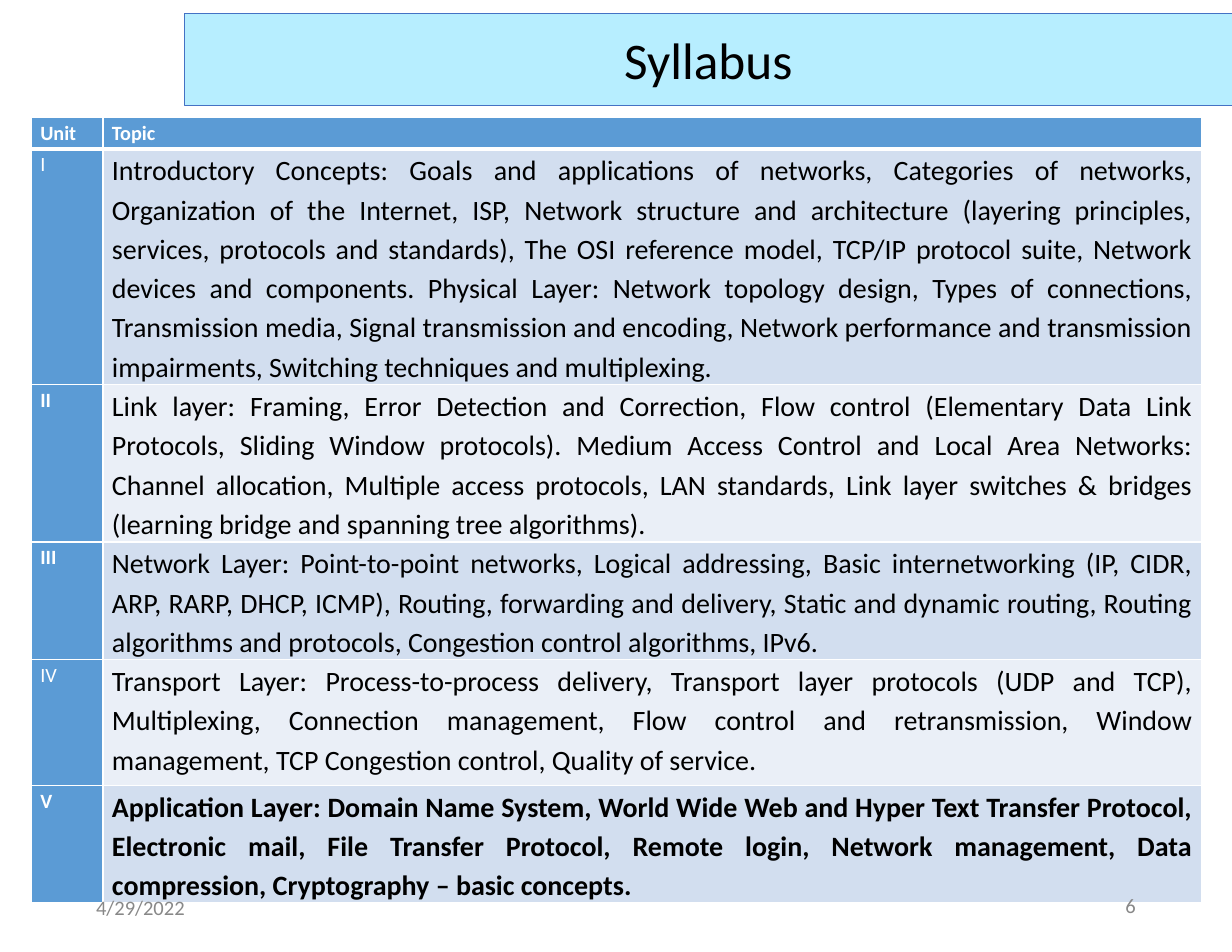
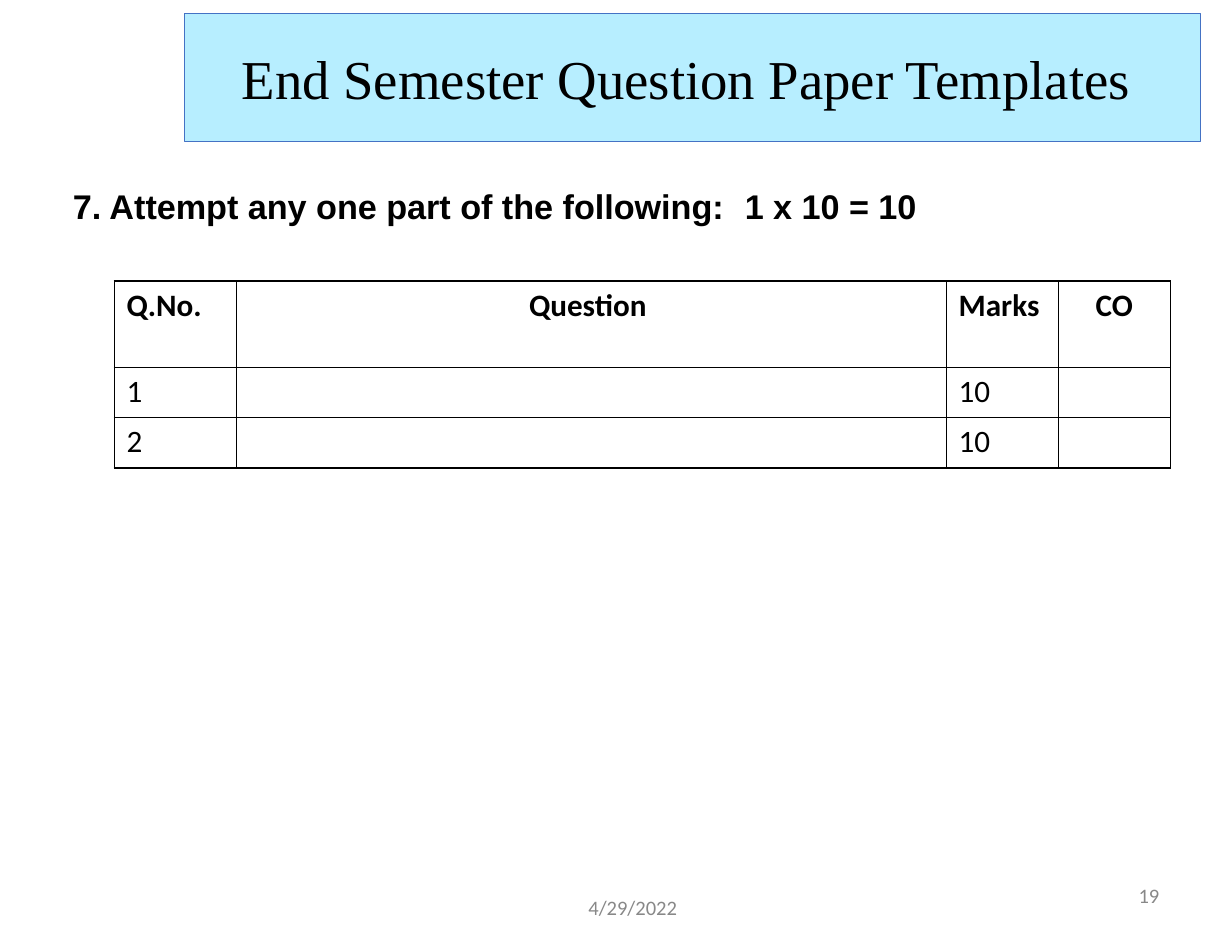
from dataclasses import dataclass

from lxml.etree import SubElement
from pptx import Presentation
from pptx.dml.color import RGBColor
from pptx.enum.text import MSO_ANCHOR, MSO_AUTO_SIZE, PP_ALIGN
from pptx.oxml.ns import qn
from pptx.util import Inches, Pt

COLORS = {
    "band": "B7EEFF",
    "band line": "4472C4",
    "header": "5B9BD5",
    "odd row": "D2DEEF",
    "even row": "EAEFF7",
    "footer": "888888",
    "white": "FFFFFF",
    "black": "000000",
}
TITLE_ONLY, TITLE_AND_BODY = 5, 1


@dataclass(frozen=True)
class Box:
    left: float
    top: float
    width: float
    height: float

    def lengths(self) -> tuple:
        return tuple(Inches(n) for n in (self.left, self.top, self.width, self.height))


@dataclass(frozen=True)
class TextStyle:
    size: float
    color: str = "black"
    bold: bool = False
    align: PP_ALIGN = PP_ALIGN.LEFT
    font: str = "Calibri"
    spacing: float = 1.0


@dataclass(frozen=True)
class CellStyle:
    fill: str
    border: str
    margins: tuple[float, float]
    top: float = 1
    bottom: float = 1


@dataclass(frozen=True)
class Unit:
    label: str
    topic: str
    bold_label: bool = True
    bold_topic: bool = False


UNITS = [
    Unit("I", "Introductory Concepts: Goals and applications of networks, Categories of networks, "
         "Organization of the Internet, ISP, Network structure and architecture (layering principles, "
         "services, protocols and standards), The OSI reference model, TCP/IP protocol suite, Network "
         "devices and components. Physical Layer: Network topology design, Types of connections, "
         "Transmission media, Signal transmission and encoding, Network performance and transmission "
         "impairments, Switching techniques and multiplexing.", bold_label=False),
    Unit("II", "Link layer: Framing, Error Detection and Correction, Flow control (Elementary Data Link "
         "Protocols, Sliding Window protocols). Medium Access Control and Local Area Networks: "
         "Channel allocation, Multiple access protocols, LAN standards, Link layer switches & bridges "
         "(learning bridge and spanning tree algorithms)."),
    Unit("III", "Network Layer: Point-to-point networks, Logical addressing, Basic internetworking (IP, CIDR, "
         "ARP, RARP, DHCP, ICMP), Routing, forwarding and delivery, Static and dynamic routing, Routing "
         "algorithms and protocols, Congestion control algorithms, IPv6."),
    Unit("IV", "Transport Layer: Process-to-process delivery, Transport layer protocols (UDP and TCP), "
         "Multiplexing, Connection management, Flow control and retransmission, Window "
         "management, TCP Congestion control, Quality of service.", bold_label=False),
    Unit("V", "Application Layer: Domain Name System, World Wide Web and Hyper Text Transfer Protocol, "
         "Electronic mail, File Transfer Protocol, Remote login, Network management, Data "
         "compression, Cryptography – basic concepts.", bold_topic=True),
]
QUESTION_ROWS = [
    ("Q.No.", "Question ", "Marks", "CO"),
    ("1", "", "10", ""),
    ("2", "", "10", ""),
]


def color(name: str) -> RGBColor:
    return RGBColor.from_string(COLORS[name])


def write(text_frame, text: str, style: TextStyle):
    """Put one styled paragraph in the frame and return it."""
    paragraph = text_frame.paragraphs[0]
    paragraph.text = text
    paragraph.alignment = style.align
    paragraph.line_spacing = style.spacing
    font = paragraph.font
    font.name, font.size, font.bold = style.font, Pt(style.size), style.bold
    font.color.rgb = color(style.color)
    return paragraph


def place(shape, box: Box) -> None:
    shape.left, shape.top, shape.width, shape.height = box.lengths()


def add_title(slide, text: str, box: Box, size: float, font: str = "Calibri") -> None:
    title = slide.shapes.title
    place(title, box)
    title.fill.solid()
    title.fill.fore_color.rgb = color("band")
    title.line.color.rgb = color("band line")
    title.line.width = Pt(0.5)
    frame = title.text_frame
    frame.auto_size = MSO_AUTO_SIZE.NONE
    frame.vertical_anchor = MSO_ANCHOR.MIDDLE
    write(frame, text, TextStyle(size, align=PP_ALIGN.CENTER, font=font))


def add_footer(slide, text: str, box: Box, align: PP_ALIGN) -> None:
    frame = slide.shapes.add_textbox(*box.lengths()).text_frame
    frame.word_wrap = True
    frame.vertical_anchor = MSO_ANCHOR.MIDDLE
    write(frame, text, TextStyle(13.2, "footer", align=align))


def add_plain_table(slide, box: Box, columns: list[float], rows: list[float]):
    table = slide.shapes.add_table(len(rows), len(columns), *box.lengths()).table
    table.first_row = table.horz_banding = False
    for column, width in zip(table.columns, columns):
        column.width = Inches(width)
    for row, height in zip(table.rows, rows):
        row.height = Inches(height)
    return table


def format_cell(cell, style: CellStyle) -> None:
    """Set margins, borders and fill; borders must precede the fill in the XML."""
    horizontal, vertical = style.margins
    cell.margin_left = cell.margin_right = Inches(horizontal)
    cell.margin_top = cell.margin_bottom = Inches(vertical)
    properties = cell._tc.get_or_add_tcPr()
    for side, width in (("L", 1), ("R", 1), ("T", style.top), ("B", style.bottom)):
        line = SubElement(properties, qn(f"a:ln{side}"), w=str(Pt(width)))
        solid = SubElement(line, qn("a:solidFill"))
        SubElement(solid, qn("a:srgbClr"), val=COLORS[style.border])
    cell.fill.solid()
    cell.fill.fore_color.rgb = color(style.fill)


def build_syllabus(presentation) -> None:
    slide = presentation.slides.add_slide(presentation.slide_layouts[TITLE_ONLY])
    add_title(slide, "Syllabus", Box(1.65, 0.12, 9.35, 0.82), 33)
    table = add_plain_table(slide, Box(0.28, 1.05, 10.45, 6.79), [0.64, 9.81],
                            [0.28, 2.02, 1.35, 1.01, 1.12, 1.01])
    margins = (0.08, 0)
    for cell, heading in zip(table.rows[0].cells, ("Unit", "Topic")):
        format_cell(cell, CellStyle("header", "white", margins, bottom=3))
        write(cell.text_frame, heading, TextStyle(13, "white", True, spacing=1.15))
    for number, unit in enumerate(UNITS, 1):
        label, topic = table.rows[number].cells
        top = 3 if number == 1 else 1
        format_cell(label, CellStyle("header", "white", margins, top))
        format_cell(topic, CellStyle("odd row" if number % 2 else "even row", "white", margins, top))
        write(label.text_frame, unit.label,
              TextStyle(13, "white", unit.bold_label, PP_ALIGN.JUSTIFY, spacing=1.15))
        write(topic.text_frame, unit.topic,
              TextStyle(18, "black", unit.bold_topic, PP_ALIGN.JUSTIFY, spacing=1.15))
    add_footer(slide, "4/29/2022", Box(0.76, 7.88, 1.24, 0.45), PP_ALIGN.LEFT)
    add_footer(slide, "6", Box(9.56, 7.86, 0.68, 0.45), PP_ALIGN.RIGHT)


def add_instruction(body, text: str, marks: str) -> None:
    """Write the instruction with its marks at a right tab."""
    place(body, Box(0.55, 1.6, 9.9, 3.03))
    body.text_frame.auto_size = MSO_AUTO_SIZE.NONE
    paragraph = write(body.text_frame, f"{text}\t{marks}", TextStyle(22, bold=True, font="Arial"))
    paragraph.space_before = Pt(4)
    properties = paragraph._p.get_or_add_pPr()
    properties.set("marL", "0")
    properties.set("indent", "0")
    default_font = properties.find(qn("a:defRPr"))
    SubElement(properties, qn("a:buNone"))
    tabs = SubElement(properties, qn("a:tabLst"))
    SubElement(tabs, qn("a:tab"), pos=str(Inches(9.63)), algn="r")
    properties.append(default_font)


def build_question_paper(presentation) -> None:
    slide = presentation.slides.add_slide(presentation.slide_layouts[TITLE_AND_BODY])
    add_title(slide, "End Semester Question Paper Templates ", Box(1.65, 0.12, 9.07, 1.14),
              35.2, "Times New Roman")
    add_instruction(slide.placeholders[1], "7. Attempt any one part of the following:", "1 x 10 = 10")
    table = add_plain_table(slide, Box(1.02, 2.51, 9.43, 1.67), [1.09, 6.34, 1, 1], [0.77, 0.45, 0.45])
    for row_number, texts in enumerate(QUESTION_ROWS):
        is_header = row_number == 0
        for cell, text in zip(table.rows[row_number].cells, texts):
            format_cell(cell, CellStyle("white", "black", (0.11, 0.05)))
            if text:
                centered = text in ("Question ", "CO")
                align = PP_ALIGN.CENTER if centered else PP_ALIGN.LEFT
                write(cell.text_frame, text, TextStyle(20, bold=is_header, align=align))
    add_footer(slide, "4/29/2022", Box(2.6, 7.88, 6.1, 0.45), PP_ALIGN.CENTER)
    add_footer(slide, "19", Box(7.88, 7.77, 2.57, 0.44), PP_ALIGN.RIGHT)


def main() -> None:
    presentation = Presentation()
    presentation.slide_width, presentation.slide_height = Inches(11), Inches(8.5)
    build_syllabus(presentation)
    build_question_paper(presentation)
    presentation.save("out.pptx")


if __name__ == "__main__":
    main()
